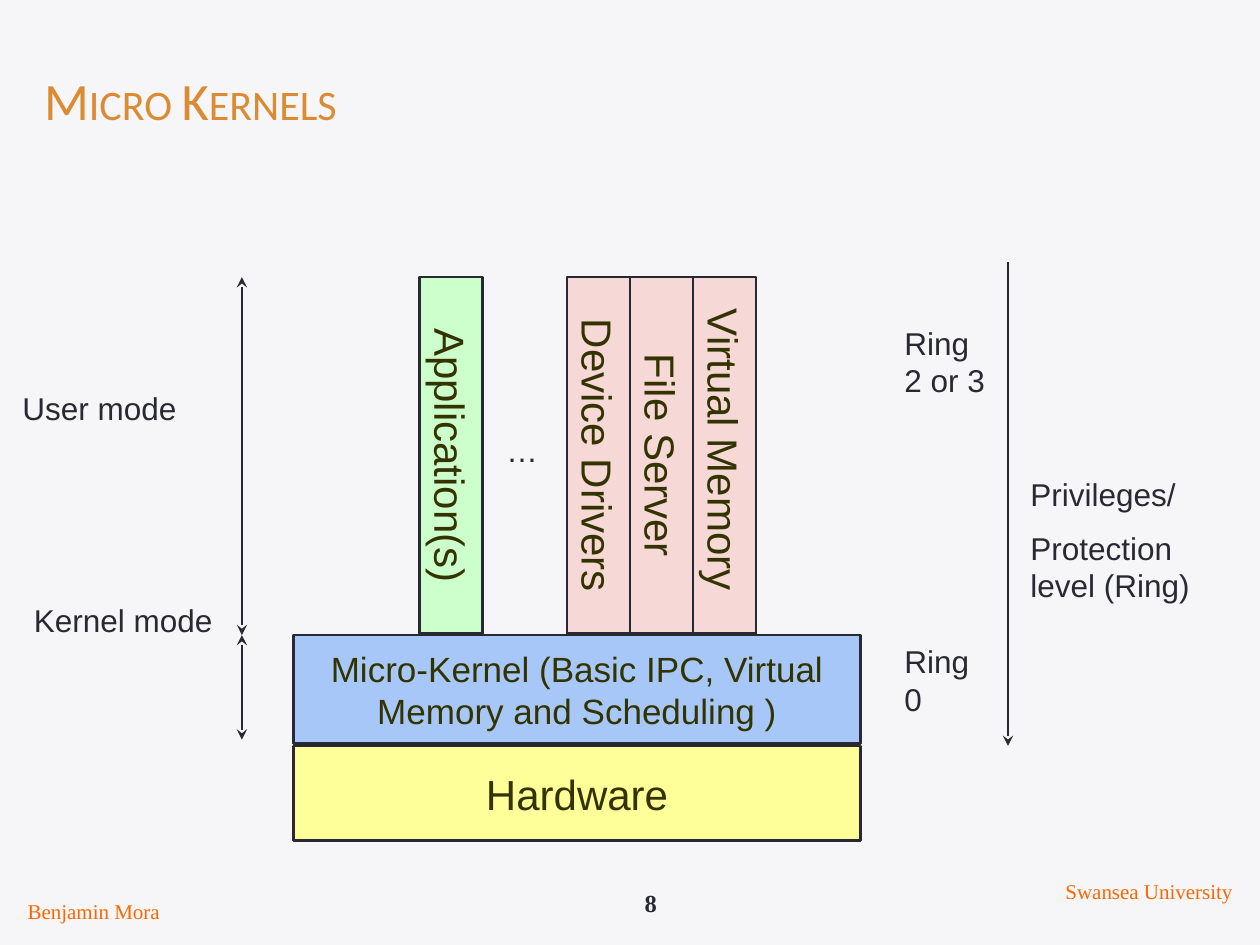
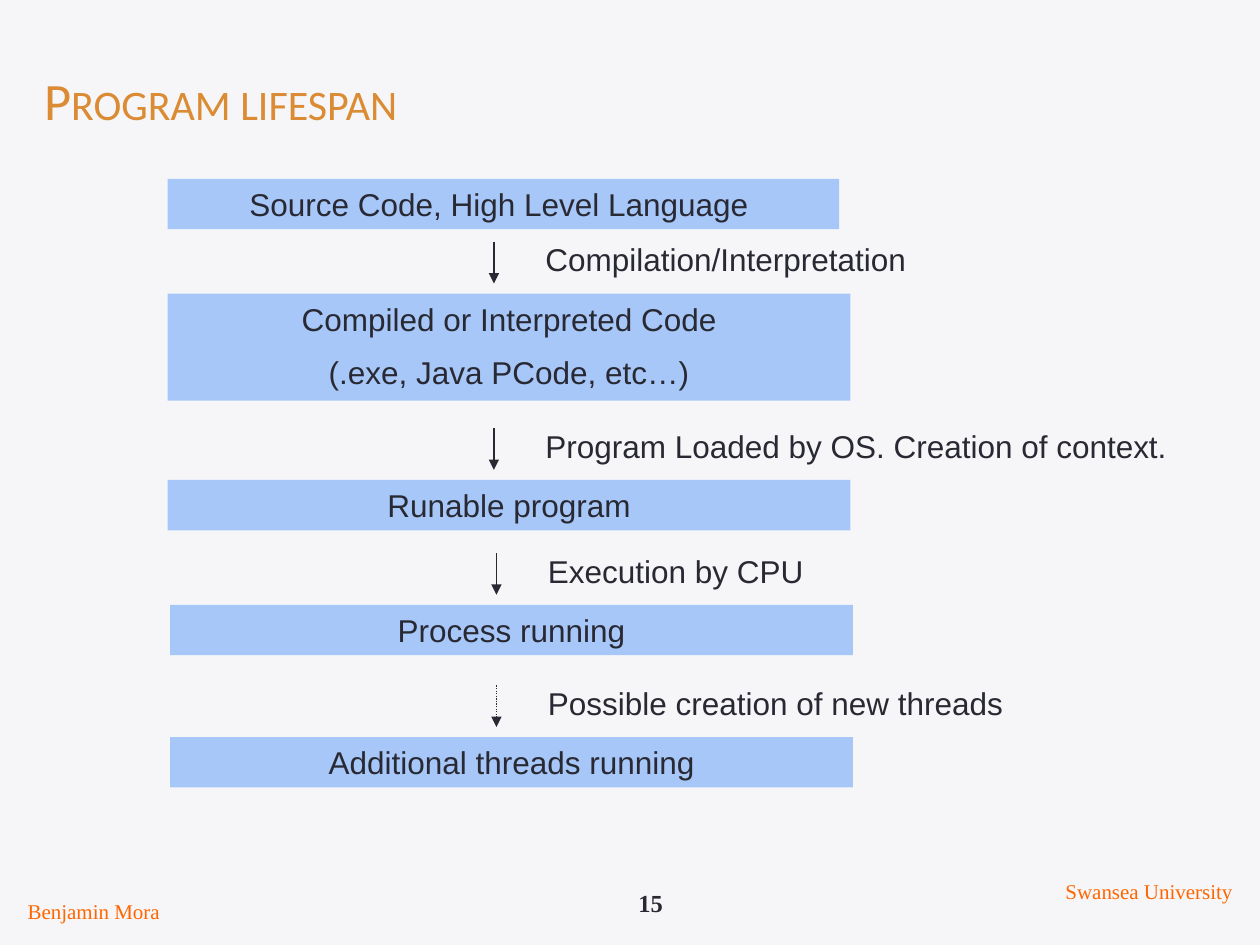
from lxml.etree import SubElement
from pptx import Presentation
from pptx.dml.color import RGBColor
from pptx.enum.dml import MSO_LINE
from pptx.enum.shapes import MSO_CONNECTOR, MSO_SHAPE
from pptx.enum.text import MSO_ANCHOR as Anchor, PP_ALIGN as Align
from pptx.oxml.ns import qn
from pptx.util import Inches, Pt

PAPER = RGBColor(0xF6, 0xF6, 0xF8)
INK = RGBColor(0x29, 0x29, 0x34)
OLIVE = RGBColor(0x33, 0x33, 0x00)
AMBER = RGBColor(0xDB, 0x8B, 0x33)
ORANGE = RGBColor(0xFF, 0x66, 0x00)
BLUE = RGBColor(0xA6, 0xC7, 0xF8)
GREEN = RGBColor(0xCC, 0xFF, 0xCC)
PINK = RGBColor(0xF6, 0xD8, 0xD6)
YELLOW = RGBColor(0xFF, 0xFF, 0x99)

BODY_FONT = "Arial"
TITLE_FONT = "Calibri"
FOOTER_FONT = "Times New Roman"

STRIP_TOP, STRIP_LENGTH, STRIP_WIDTH = 2.2, 2.83, 0.5


def write(shape, text, size, color, font=BODY_FONT, align=Align.LEFT,
          anchor=Anchor.TOP, bold=False, wrap=True):
    frame = shape.text_frame
    frame.word_wrap = wrap
    frame.vertical_anchor = anchor
    frame.text = text
    for index, para in enumerate(frame.paragraphs):
        para.alignment = align
        para.space_before = Pt(size / 2 if index else 0)
        para.font.name = font
        para.font.size = Pt(size)
        para.font.bold = bold
        para.font.color.rgb = color


def add_label(page, text, left, top, width, height=0.4, size=18, color=INK, **style):
    label = page.shapes.add_textbox(Inches(left), Inches(top), Inches(width), Inches(height))
    write(label, text, size, color, **style)


def add_box(page, text, left, top, width, height, fill, size, color=OLIVE,
            outlined=True, anchor=Anchor.MIDDLE, wrap=True):
    box = page.shapes.add_shape(
        MSO_SHAPE.RECTANGLE, Inches(left), Inches(top), Inches(width), Inches(height))
    box.shadow.inherit = False
    box.fill.solid()
    box.fill.fore_color.rgb = fill
    if outlined:
        box.line.color.rgb = INK
        box.line.width = Pt(1.5)
    else:
        box.line.fill.background()
    write(box, text, size, color, align=Align.CENTER, anchor=anchor, wrap=wrap)
    return box


def add_strip(page, text, left, fill):
    shift = (STRIP_LENGTH - STRIP_WIDTH) / 2
    strip = add_box(page, text, left - shift, STRIP_TOP + shift, STRIP_LENGTH,
                    STRIP_WIDTH, fill, 24, wrap=False)
    strip.rotation = 90


def add_arrow(page, x, top, bottom, width=1.5, tip="stealth", both_ends=False, dotted=False):
    arrow = page.shapes.add_connector(
        MSO_CONNECTOR.STRAIGHT, Inches(x), Inches(top), Inches(x), Inches(bottom))
    arrow.line.color.rgb = INK
    arrow.line.width = Pt(width)
    if dotted:
        arrow.line.dash_style = MSO_LINE.ROUND_DOT
    outline = arrow.line._get_or_add_ln()
    for end in ("a:headEnd", "a:tailEnd") if both_ends else ("a:tailEnd",):
        SubElement(outline, qn(end), type=tip)
    SubElement(arrow._element.spPr, qn("a:effectLst"))


def add_page(deck, title_text, number):
    page = deck.slides.add_slide(deck.slide_layouts[5])
    page.background.fill.solid()
    page.background.fill.fore_color.rgb = PAPER
    title = page.shapes.title
    title.left, title.top = Inches(0.25), Inches(0.17)
    title.width, title.height = Inches(9.5), Inches(0.92)
    write(title, title_text, 30, AMBER, font=TITLE_FONT, anchor=Anchor.BOTTOM)
    for span in title.text_frame.paragraphs[0].runs:
        span._r.get_or_add_rPr().set("cap", "small")
    footer = {"font": FOOTER_FONT, "align": Align.CENTER}
    add_label(page, number, 4.5, 7, 1.33, 0.33, 14, bold=True, **footer)
    add_label(page, "Benjamin Mora", 0.08, 7.08, 1.33, 0.3, 12, ORANGE, **footer)
    add_label(page, "Swansea University", 8.33, 6.92, 1.58, 0.3, 12, ORANGE, **footer)
    return page


def add_kernel_page(deck):
    page = add_page(deck, "Micro Kernels", "8")
    add_strip(page, "Application(s)", 3.33, GREEN)
    servers = ("Device Drivers", "File Server", "Virtual Memory ")
    for index, server in enumerate(servers):
        add_strip(page, server, 4.5 + index * STRIP_WIDTH, PINK)
    add_box(page, "Micro-Kernel (Basic IPC, Virtual Memory and Scheduling )",
            2.33, 5.04, 4.5, 0.86, BLUE, 20)
    add_box(page, "Hardware", 2.33, 5.92, 4.5, 0.75, YELLOW, 24, wrap=False)

    add_label(page, "…", 3.92, 3.37, 1.83)
    add_label(page, "User mode", 0.08, 3.04, 1.83)
    add_label(page, "Kernel mode", 0.17, 4.72, 1.83)
    add_label(page, "Privileges/\nProtection level (Ring)", 8.08, 3.72, 1.83, 1.15)
    add_label(page, "Ring 2 or 3", 7.08, 2.52, 0.9, 0.7)
    add_label(page, "Ring 0", 7.08, 5.05, 0.9, 0.7)

    add_arrow(page, 1.92, 2.2, 5.04, both_ends=True)
    add_arrow(page, 1.92, 5.04, 5.87, both_ends=True)
    add_arrow(page, 8, 2.08, 5.92)


def add_stage(page, text, left, top, width=5.42, height=0.4):
    add_box(page, text, left, top, width, height, BLUE, 18, INK,
            outlined=False, anchor=Anchor.TOP)


def add_step(page, text, left, stage_top, width=3.83, dotted=False):
    add_arrow(page, left + 2.59, stage_top - 0.41, stage_top - 0.08,
              width=0.75, tip="triangle", dotted=dotted)
    add_label(page, text, left + 2.9, stage_top - 0.47, width)


def add_lifespan_page(deck):
    page = add_page(deck, "Program lifespan", "15")
    add_stage(page, "Source Code, High Level Language ", 1.33, 1.42, width=5.33)
    add_step(page, "Compilation/Interpretation", 1.33, 2.33)
    add_stage(page, "Compiled or Interpreted Code\n(.exe, Java PCode, etc…)",
              1.33, 2.33, height=0.85)
    add_step(page, "Program Loaded by OS. Creation of context.", 1.33, 3.81, width=5.6)
    add_stage(page, "Runable program", 1.33, 3.81)
    add_step(page, "Execution by CPU", 1.35, 4.8)
    add_stage(page, "Process running", 1.35, 4.8)
    add_step(page, "Possible creation of new threads", 1.35, 5.85, dotted=True)
    add_stage(page, "Additional threads running", 1.35, 5.85)


def main():
    deck = Presentation()
    deck.slide_width, deck.slide_height = Inches(10), Inches(7.5)
    add_kernel_page(deck)
    add_lifespan_page(deck)
    deck.save("out.pptx")


if __name__ == "__main__":
    main()
